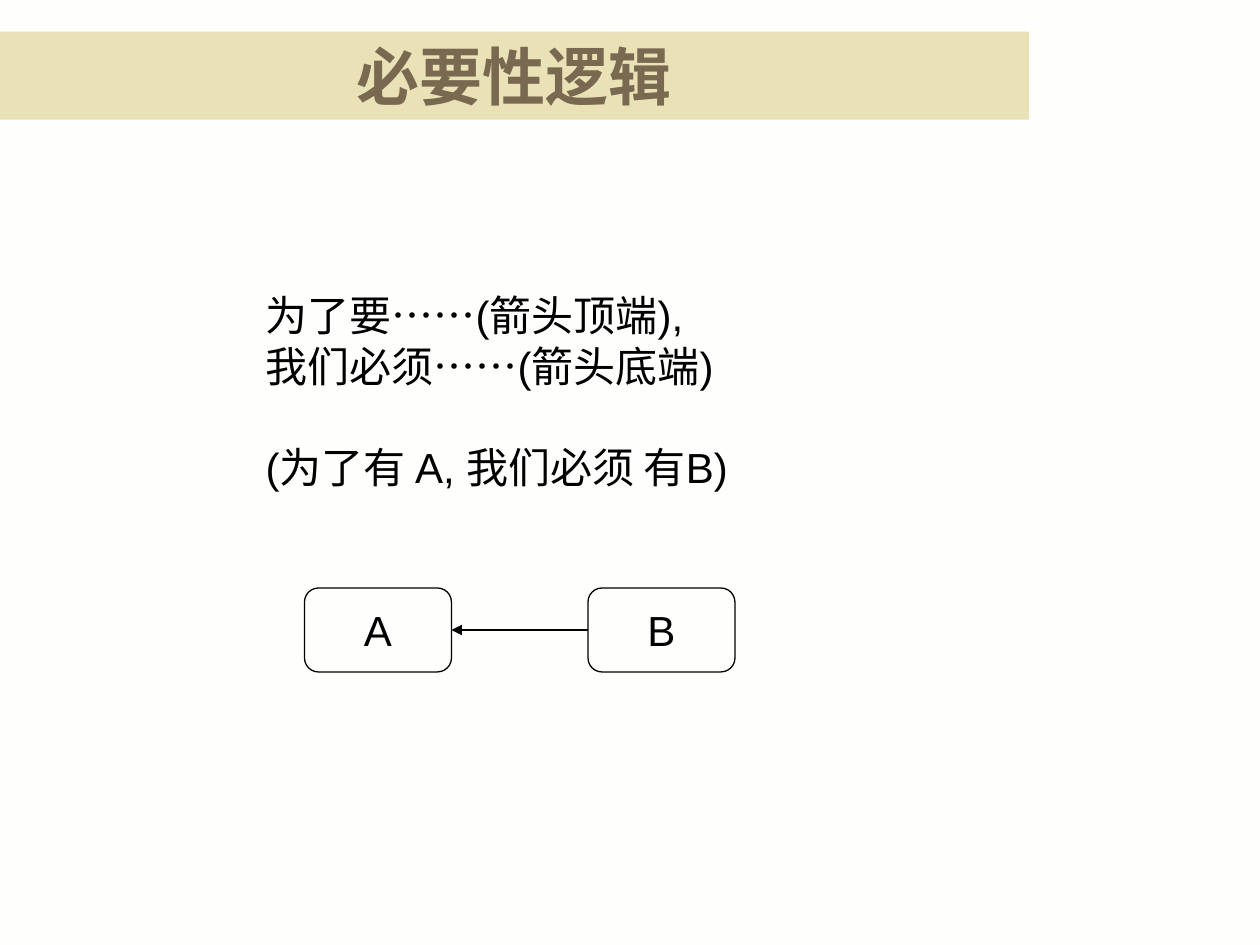
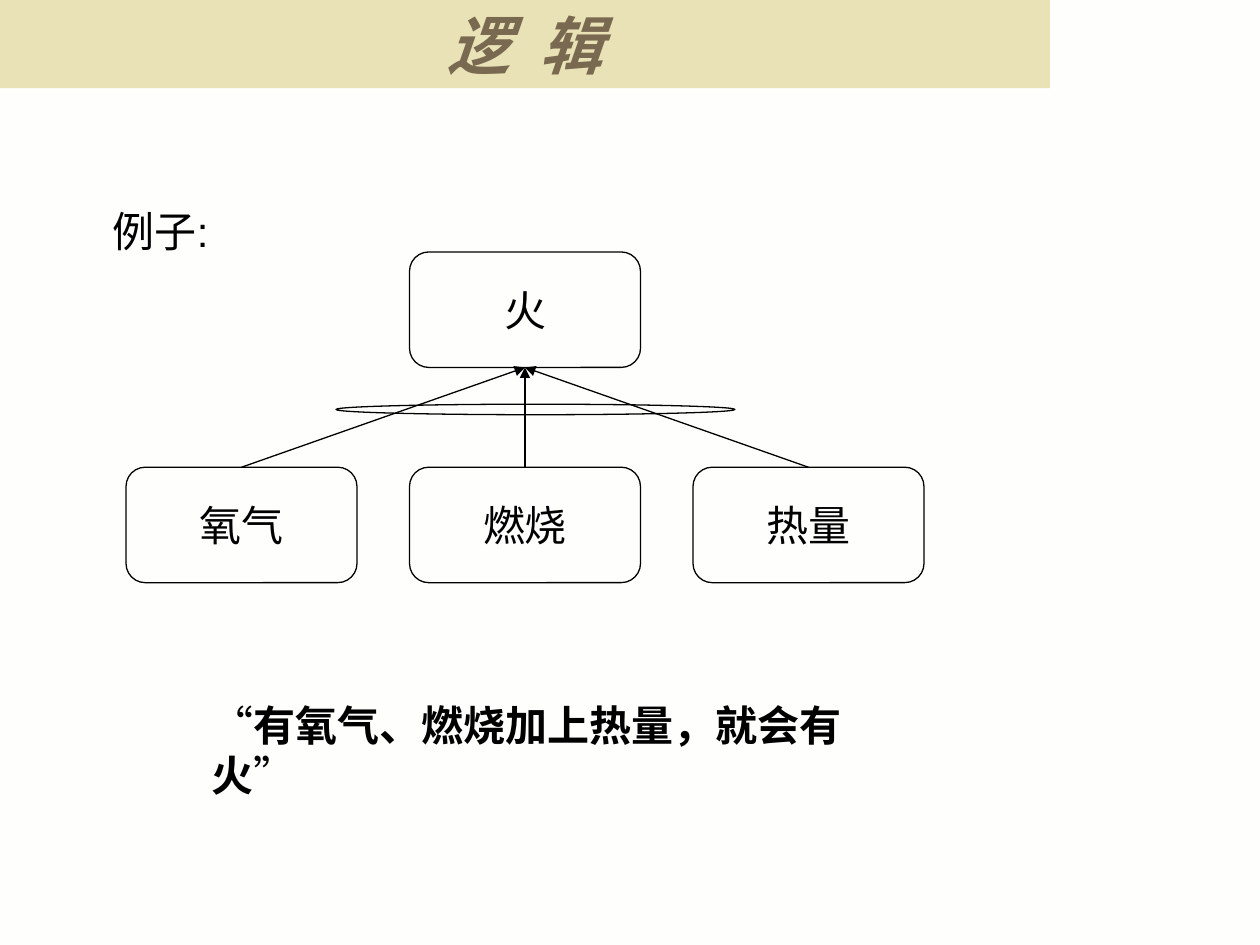
from lxml import etree
from pptx import Presentation
from pptx.dml.color import RGBColor
from pptx.enum import lang, shapes, text
from pptx.oxml import ns
from pptx.util import Pt

PAPER, BAND, TITLE, INK = "FEFEFC", "E9E2B6", "786950", "000000"
LATIN, CHINESE = "Arial", "Noto Sans CJK SC"
TOP, LEFT, BOTTOM, RIGHT = range(4)


def paint(color_owner, color):
    """Give a fill a solid colour from a hex string."""
    color_owner.solid()
    color_owner.fore_color.rgb = RGBColor.from_string(color)


def add_run(paragraph, words, size=24, color=INK, bold=False, italic=False, latin=LATIN):
    """Add one formatted run to a paragraph and return it."""
    run = paragraph.add_run()
    run.text = words
    font = run.font
    font.size, font.bold, font.italic = Pt(size), bold, italic
    font.language_id = lang.MSO_LANGUAGE_ID.SIMPLIFIED_CHINESE
    paint(font.fill, color)
    font.name = latin
    etree.SubElement(run._r.get_or_add_rPr(), ns.qn("a:ea"), typeface=CHINESE)
    return run


def add_titled_slide(prs, top, width):
    """Add a slide with its title band and return it with the title paragraph."""
    slide = prs.slides.add_slide(prs.slide_layouts[5])
    title = slide.shapes.title
    title.left, title.top, title.width, title.height = 0, Pt(top), Pt(width), Pt(50.4)
    paint(title.fill, BAND)
    frame = title.text_frame
    frame.auto_size = text.MSO_AUTO_SIZE.NONE
    frame.vertical_anchor = text.MSO_ANCHOR.TOP
    heading = frame.paragraphs[0]
    heading.alignment = text.PP_ALIGN.CENTER
    return slide, heading


def add_outline(slide, kind, left, top, width, height):
    """Add an unfilled shape with a thin black line."""
    outline = slide.shapes.add_shape(kind, Pt(left), Pt(top), Pt(width), Pt(height))
    outline.shadow.inherit = False
    outline.fill.background()
    paint(outline.line.fill, INK)
    outline.line.width = Pt(0.75)
    return outline


def add_entity(slide, label, left, top, width, height):
    """Add a rounded box with a centred label."""
    entity = add_outline(slide, shapes.MSO_SHAPE.ROUNDED_RECTANGLE, left, top, width, height)
    frame = entity.text_frame
    frame.word_wrap = False
    frame.vertical_anchor = text.MSO_ANCHOR.MIDDLE
    frame.paragraphs[0].alignment = text.PP_ALIGN.CENTER
    add_run(frame.paragraphs[0], label)
    return entity


def add_arrow(slide, cause, cause_side, effect, effect_side):
    """Join a cause to its effect with an arrow."""
    arrow = slide.shapes.add_connector(shapes.MSO_CONNECTOR.STRAIGHT, 0, 0, 0, 0)
    arrow.begin_connect(cause, cause_side)
    arrow.end_connect(effect, effect_side)
    paint(arrow.line.fill, INK)
    arrow.line.width = Pt(0.75)
    etree.SubElement(arrow.line._get_or_add_ln(), ns.qn("a:tailEnd"), type="triangle")
    etree.SubElement(arrow._element.spPr, ns.qn("a:effectLst"))


def add_text(slide, left, top, width, height, wrap=False):
    """Add a text box and return its text frame."""
    frame = slide.shapes.add_textbox(Pt(left), Pt(top), Pt(width), Pt(height)).text_frame
    frame.word_wrap = wrap
    frame.auto_size = text.MSO_AUTO_SIZE.SHAPE_TO_FIT_TEXT
    return frame


def build_necessity(prs):
    """Build the slide on necessity logic."""
    slide, heading = add_titled_slide(prs, 18, 588)
    add_run(heading, "必要性逻辑", 36, TITLE, bold=True)
    goal, need = (add_entity(slide, label, left, 336, 84, 48)
                  for label, left in (("A", 174), ("B", 336)))
    add_arrow(slide, need, LEFT, goal, RIGHT)
    reading = add_text(slide, 144.75, 162, 304, 122.4)
    lines = ("为了要……(箭头顶端),", "我们必须……(箭头底端)", "(为了有 A, 我们必须 有B)")
    for index, line in enumerate(lines):
        paragraph = reading.add_paragraph() if index else reading.paragraphs[0]
        add_run(paragraph, line)
    paragraph.space_before = Pt(29)


def build_fire_example(prs):
    """Build the slide with the fire example."""
    slide, heading = add_titled_slide(prs, 0, 600)
    for part in ("逻", " ", "辑"):
        run = add_run(heading, part, 36, TITLE, bold=True, italic=True, latin=CHINESE)
        if part == " ":
            run._r.get_or_add_rPr().set("spc", "800")
    fire = add_entity(slide, "火", 234, 144, 132, 66)
    for column, label in enumerate(("氧气", "燃烧", "热量")):
        cause = add_entity(slide, label, 72 + 162 * column, 267, 132, 66)
        add_arrow(slide, cause, TOP, fire, BOTTOM)
    add_outline(slide, shapes.MSO_SHAPE.OVAL, 192, 231, 228, 6)
    example = add_text(slide, 57.5, 114, 75, 36)
    add_run(example.paragraphs[0], "例子:")
    conclusion = add_text(slide, 114, 396, 402, 36, wrap=True).paragraphs[0]
    add_run(conclusion, "“")
    add_run(conclusion, "有氧气、燃烧加上热量，就会有火", bold=True)
    add_run(conclusion, "”")


def main():
    """Build and save the deck."""
    prs = Presentation()
    prs.slide_width, prs.slide_height = Pt(720), Pt(540)
    paint(prs.slide_master.background.fill, PAPER)
    build_necessity(prs)
    build_fire_example(prs)
    prs.save("out.pptx")


if __name__ == "__main__":
    main()
